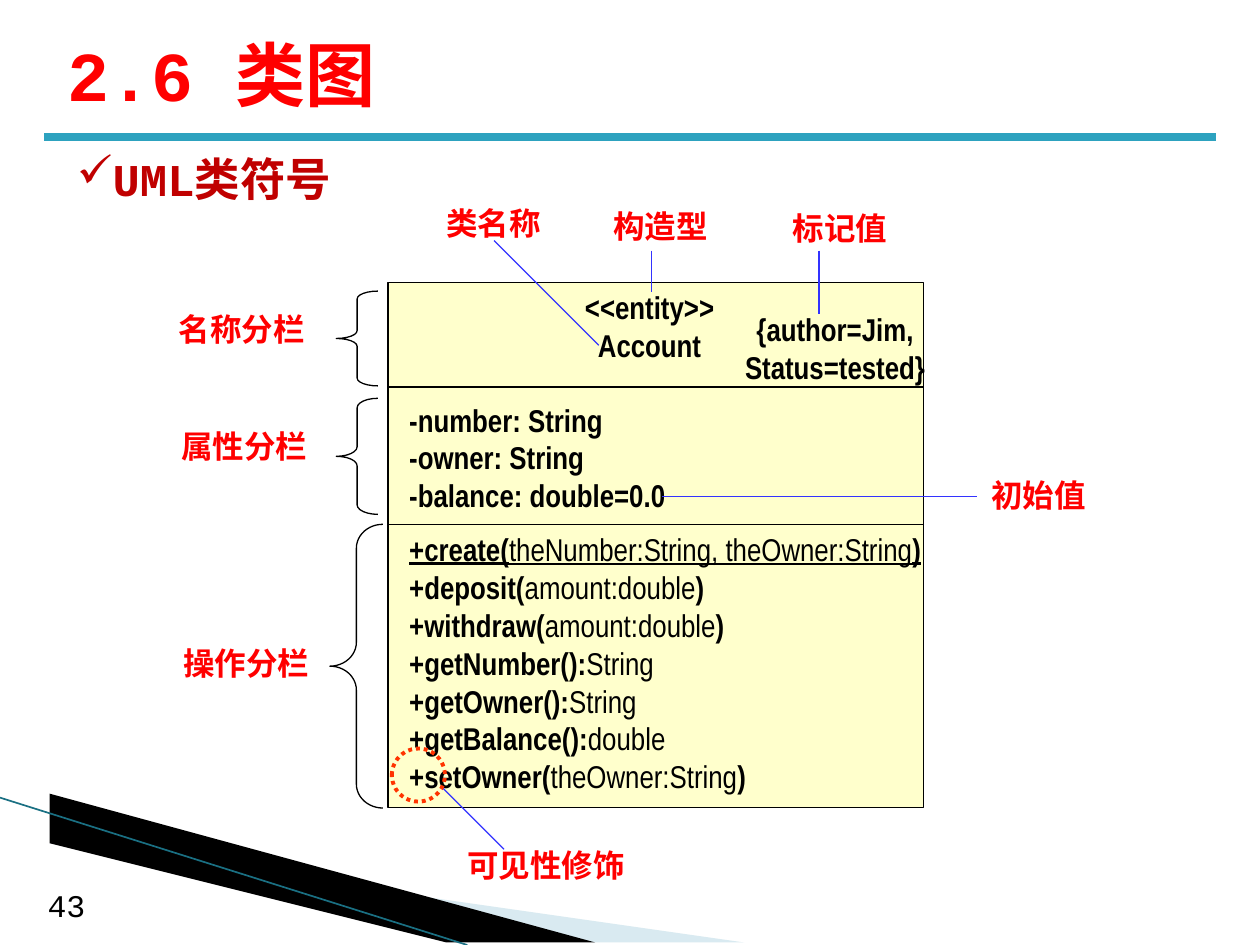
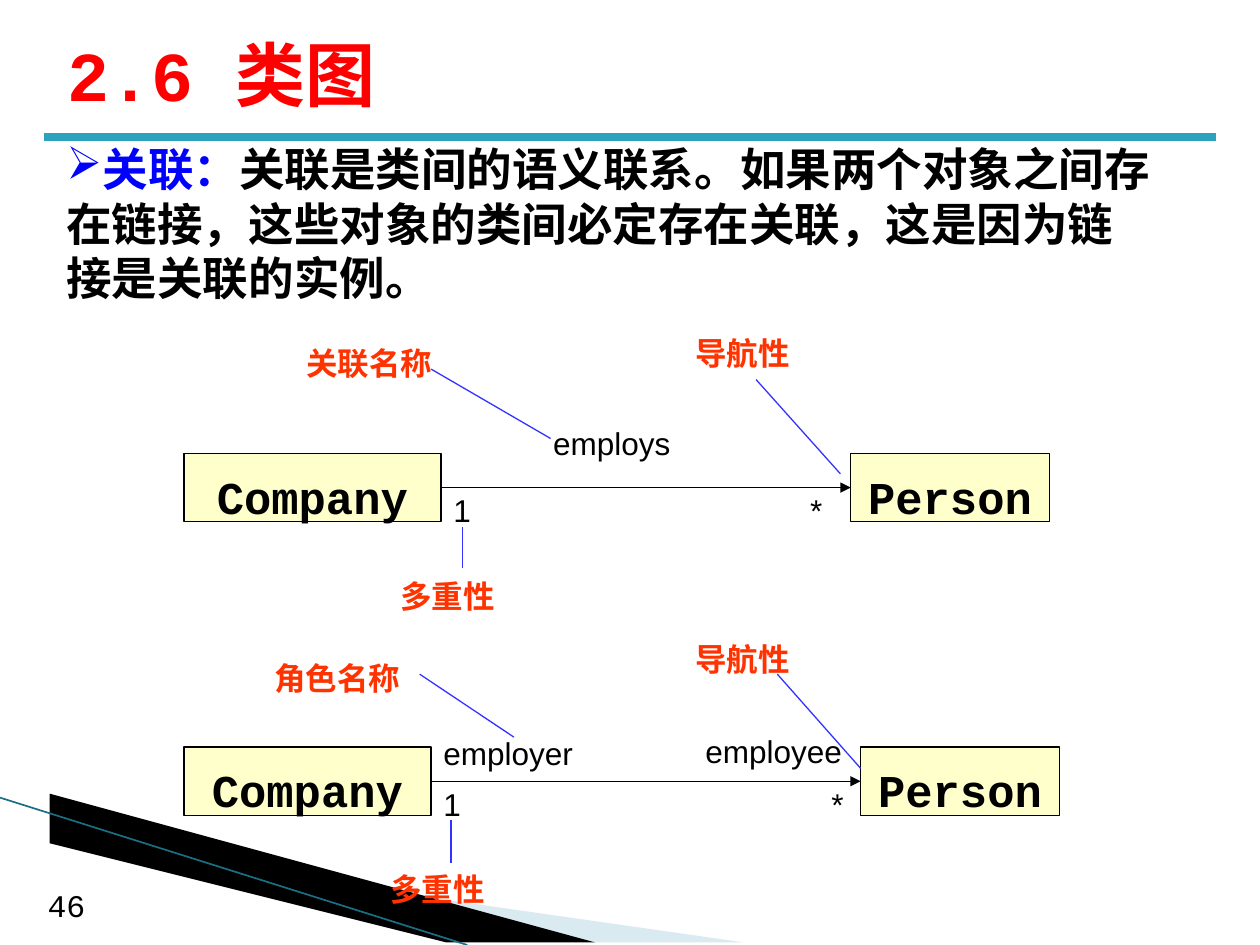
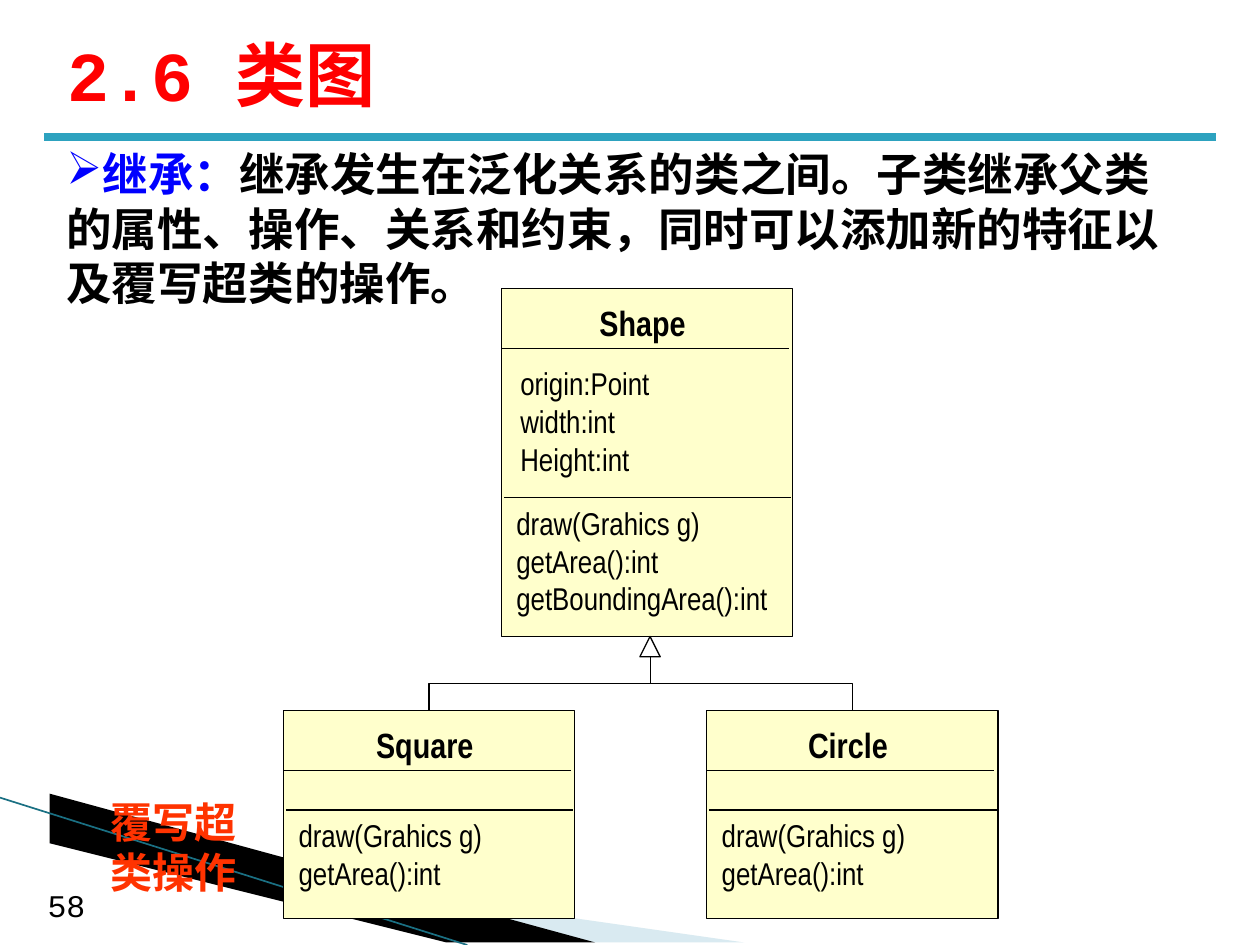
from dataclasses import dataclass

from lxml import etree
from pptx import Presentation
from pptx.dml.color import RGBColor
from pptx.enum.dml import MSO_LINE
from pptx.enum.lang import MSO_LANGUAGE_ID
from pptx.enum.shapes import MSO_CONNECTOR, MSO_SHAPE
from pptx.enum.text import MSO_ANCHOR, PP_ALIGN
from pptx.oxml.ns import qn
from pptx.util import Cm, Pt

RECTANGLE, ELLIPSE = MSO_SHAPE.RECTANGLE, MSO_SHAPE.OVAL
BRACE, TRIANGLE = MSO_SHAPE.LEFT_BRACE, MSO_SHAPE.ISOSCELES_TRIANGLE
STRAIGHT, ELBOW = MSO_CONNECTOR.STRAIGHT, MSO_CONNECTOR.ELBOW
LEFT, CENTER = PP_ALIGN.LEFT, PP_ALIGN.CENTER
TOP, MIDDLE = MSO_ANCHOR.TOP, MSO_ANCHOR.MIDDLE
DOTTED = MSO_LINE.ROUND_DOT
CHINESE = MSO_LANGUAGE_ID.SIMPLIFIED_CHINESE


@dataclass(frozen=True)
class Theme:
    black: str = "000000"
    white: str = "FFFFFF"
    red: str = "FF0000"
    dark_red: str = "C00000"
    orange: str = "FF3300"
    blue: str = "0000FF"
    callout: str = "3333FF"
    class_fill: str = "FFFFCC"
    band: str = "2DA2BF"
    wedge: str = "A0CBDC"
    wedge_edge: str = "1A7083"
    sans: str = "Arial"
    narrow: str = "Arial Narrow"
    mono: str = "Courier New"
    title_size: float = 40
    lead_size: float = 26
    note_size: float = 24
    name_size: float = 20
    body_size: float = 18
    thin: float = 0.75
    thick: float = 4.5


theme = Theme()


def add_box(page, place, paragraphs=(), shape=None, fill=None, line=theme.black,
            weight=theme.thin, size=theme.body_size, font=theme.sans,
            color=theme.black, bold=False, align=LEFT, anchor=TOP, bullet=None):
    """Add a text box, or the given preset shape, at (left, top, width, height) in cm.

    A paragraph is a string or a list of (text, format changes) pairs.
    """
    lengths = [Cm(length) for length in place]
    if shape is None:
        box = page.shapes.add_textbox(*lengths)
    else:
        box = page.shapes.add_shape(shape, *lengths)
        box.shadow.inherit = False
        box.line.color.rgb = RGBColor.from_string(line)
        box.line.width = Pt(weight)
        if fill:
            box.fill.solid()
            box.fill.fore_color.rgb = RGBColor.from_string(fill)
        else:
            box.fill.background()
    frame = box.text_frame
    frame.word_wrap = True
    frame.vertical_anchor = anchor
    for index, content in enumerate(paragraphs):
        para = frame.add_paragraph() if index else frame.paragraphs[0]
        para.alignment = align
        if bullet:
            properties = para._p.get_or_add_pPr()
            etree.SubElement(properties, qn("a:buChar")).set("char", bullet)
        spans = [(content, {})] if isinstance(content, str) else content
        for text, changes in spans:
            span = para.add_run()
            span.text = text
            span.font.size = Pt(size)
            span.font.name = font
            span.font.bold = changes.get("bold", bold)
            span.font.underline = changes.get("underline", False)
            span.font.color.rgb = RGBColor.from_string(changes.get("color", color))
            span.font.language_id = CHINESE
    return box


def add_line(page, start, end, color=theme.black, weight=theme.thin,
             kind=STRAIGHT, arrow=False):
    line = page.shapes.add_connector(kind, *[Cm(length) for length in (*start, *end)])
    line.line.color.rgb = RGBColor.from_string(color)
    line.line.width = Pt(weight)
    properties = line.element.spPr
    if arrow:
        etree.SubElement(properties.find(qn("a:ln")), qn("a:tailEnd")).set("type", "triangle")
    etree.SubElement(properties, qn("a:effectLst"))
    return line


deck = Presentation()
deck.slide_width, deck.slide_height = Cm(25.4), Cm(19.05)

# Wedges, title band, page number and title on every page
wedges = [
    (theme.wedge, 40, [(1.4, 16.54), (15.11, 19.05), (11.58, 19.05), (1.4, 16.51)]),
    (theme.black, 100, [(1.35, 16.48), (11.61, 19.05), (9.45, 19.05), (1.37, 16.51)]),
]
pages = []
for number in (43, 46, 58):
    page = deck.slides.add_slide(deck.slide_layouts[6])
    for color, opacity, corners in wedges:
        builder = page.shapes.build_freeform(*corners[0], scale=Cm(1))
        builder.add_line_segments(corners[1:], close=True)
        wedge = builder.convert_to_shape()
        wedge.shadow.inherit = False
        wedge.line.fill.background()
        wedge.fill.solid()
        wedge.fill.fore_color.rgb = RGBColor.from_string(color)
        if opacity < 100:
            tint = wedge.element.spPr.find(qn("a:solidFill"))[0]
            etree.SubElement(tint, qn("a:alpha")).set("val", str(opacity * 1000))
    add_line(page, (0, 16.08), (9.42, 19.05), theme.wedge_edge, 0.95)
    add_line(page, (0.89, 2.77), (24.51, 2.77), theme.band, theme.thick)
    add_box(page, (0.71, 17.73, 2.01, 1.02), [str(number)], font=theme.mono)
    add_box(page, (1.12, 0.41, 22.86, 2.16), ["2.6 类图"], size=theme.title_size,
            font=theme.mono, color=theme.red, bold=True, anchor=MIDDLE)
    pages.append(page)
symbol_page, association_page, inheritance_page = pages

# Class symbol
operations = [
    ("+create(", "theNumber:String, theOwner:String", ")"),
    ("+deposit(", "amount:double", ")"),
    ("+withdraw(", "amount:double", ")"),
    ("+getNumber():", "String"),
    ("+getOwner():", "String"),
    ("+getBalance():", "double"),
    ("+setOwner(", "theOwner:String", ")"),
]
operation_lines = [
    [(part, {"bold": position != 1, "underline": parts[0] == "+create("})
     for position, part in enumerate(parts)]
    for parts in operations
]
add_box(symbol_page, (7.82, 5.69, 10.8, 10.59), shape=RECTANGLE, fill=theme.class_fill)
for place, lines, align in [
    ((9.88, 5.69, 6.43, 1.78), ["<<entity>>", "Account"], CENTER),
    ((8, 7.95, 8.18, 2.54),
     ["-number: String", "-owner: String", "-balance: double=0.0"], LEFT),
    ((8, 10.57, 11.25, 5.59), operation_lines, LEFT),
    ((14.61, 6.12, 4.45, 1.78), ["{author=Jim, Status=tested}"], CENTER),
]:
    add_box(symbol_page, place, lines, font=theme.narrow, bold=True, align=align)
for divider in (7.8, 10.57):
    add_line(symbol_page, (7.82, divider), (18.62, divider))

for place, curve in [
    ((6.78, 5.87, 0.84, 1.91), 0.188),
    ((6.78, 8.03, 0.84, 2.34), 0.229),
    ((6.65, 10.57, 1.07, 5.72), 0.45),
]:
    brace = add_box(symbol_page, place, shape=BRACE)
    brace.adjustments[0] = curve

label_width = 4.24
for label, center, top in [
    ("名称分栏", 4.87, 6.12), ("属性分栏", 4.92, 8.48), ("操作分栏", 4.97, 12.85),
    ("可见性修饰", 11.01, 16.94), ("构造型", 13.32, 4.04), ("类名称", 9.95, 3.99),
    ("标记值", 16.93, 4.09), ("初始值", 20.94, 9.47),
]:
    add_box(symbol_page, (center - label_width / 2, top, label_width, 1.02), [label],
            color=theme.red, bold=True, align=CENTER)
for start, end in [
    ((13.13, 5.05), (13.13, 5.89)), ((16.51, 5.05), (16.51, 6.32)),
    ((9.96, 4.85), (12.07, 6.96)), ((19.69, 10.01), (13.34, 10.01)),
    ((10.16, 17.12), (8.89, 15.85)),
]:
    add_line(symbol_page, start, end, theme.callout)
visibility_ring = add_box(symbol_page, (7.9, 15.09, 1.07, 1.07), shape=ELLIPSE,
                          line=theme.orange, weight=2.25)
visibility_ring.line.dash_style = DOTTED
add_box(symbol_page, (1.3, 2.92, 22.43, 1.37), ["UML类符号"], size=theme.lead_size,
        font=theme.mono, color=theme.dark_red, bold=True, bullet="✓")

# Associations
for top, company_width, person_left in [(9.14, 5.18, 17.15), (15.06, 4.98, 17.35)]:
    ends = []
    for name, left, width in [("Company", 3.71, company_width), ("Person", person_left, 4.01)]:
        box = add_box(association_page, (left, top, width, 1.38), [name], shape=RECTANGLE,
                      fill=theme.class_fill, size=theme.lead_size, font=theme.mono,
                      bold=True, align=CENTER, anchor=MIDDLE)
        box.text_frame.margin_top, box.text_frame.margin_bottom = Cm(0.34), Cm(0)
        ends.append(box)
    middle = top + 0.69
    association = add_line(association_page, (3.71 + company_width, middle),
                           (person_left, middle), arrow=True)
    association.begin_connect(ends[0], 3)
    association.end_connect(ends[1], 1)

association_texts = [
    ("employs", 10.9, 8.43), ("1", 8.89, 9.78), ("*", 16.08, 9.78),
    ("employer", 8.69, 14.68), ("employee", 13.97, 14.63),
    ("1", 8.69, 15.7), ("*", 16.51, 15.7),
]
association_labels = [
    ("关联名称", 5.92, 6.81), ("导航性", 13.77, 6.6), ("多重性", 7.82, 11.51),
    ("角色名称", 5.28, 13.16), ("导航性", 13.77, 12.78), ("多重性", 7.62, 17.42),
]
for texts, color, bold in [(association_texts, theme.black, False),
                           (association_labels, theme.orange, True)]:
    for text, left, top in texts:
        add_box(association_page, (left, top, 3.6, 1.02), [text], color=color, bold=bold)
for start, end in [
    ((8.69, 7.44), (11.1, 8.84)), ((15.24, 7.65), (16.94, 9.55)),
    ((9.32, 11.46), (9.32, 10.62)), ((8.46, 13.59), (10.36, 14.86)),
    ((9.09, 17.4), (9.09, 16.54)), ((15.67, 13.59), (17.35, 15.49)),
]:
    add_line(association_page, start, end, theme.callout)

# Inheritance
class_width = 5.87
attributes = ["origin:Point", "width:int", "Height:int"]
overrides = ["draw(Grahics g)", "getArea():int"]
for name, left, top, height, divider, fields, methods in [
    ("Shape", 10.11, 5.82, 7.01, 10.03, attributes, overrides + ["getBoundingArea():int"]),
    ("Square", 5.72, 14.33, 4.19, 16.33, [], overrides),
    ("Circle", 14.25, 14.33, 4.19, 16.33, [], overrides),
]:
    add_box(inheritance_page, (left, top, class_width, height), shape=RECTANGLE,
            fill=theme.class_fill)
    add_box(inheritance_page, (left + 1.04, top + 0.13, 3.61, 1.12), [name],
            size=theme.name_size, font=theme.narrow, bold=True, align=CENTER)
    if fields:
        add_box(inheritance_page, (left + 0.13, top + 1.4, 4.09, 2.54), fields,
                font=theme.narrow)
    add_box(inheritance_page, (left + 0.05, divider, 5.79, 0.25 + 0.76 * len(methods)),
            methods, font=theme.narrow)
    add_line(inheritance_page, (left, top + 1.2), (left + 5.79, top + 1.2))
    add_line(inheritance_page, (left + 0.05, divider), (left + 5.84, divider))

add_box(inheritance_page, (12.9, 12.83, 0.41, 0.41), shape=TRIANGLE, fill=theme.white)
parent_x, parent_y, child_y = 13.11, 13.24, 14.33
drop, center_y = child_y - parent_y, (parent_y + child_y) / 2
# Each elbow is laid out sideways, then turned so that it leaves the parent downwards
for child_x, side, degrees in [(8.65, -1, 90), (17.18, 1, 270)]:
    center_x, span_width = (parent_x + child_x) / 2, abs(child_x - parent_x)
    elbow = add_line(inheritance_page,
                     (center_x + side * drop / 2, center_y - span_width / 2),
                     (center_x - side * drop / 2, center_y + span_width / 2), kind=ELBOW)
    elbow.element.spPr.find(qn("a:xfrm")).set("rot", str(degrees * 60000))
add_box(inheritance_page, (1.7, 15.93, 3.61, 2.31), ["覆写超类操作"],
        size=theme.note_size, color=theme.orange, bold=True, align=CENTER)

# Definitions above the two diagrams
for page, top, width, font, term, definition in [
    (association_page, 2.72, 22.43, theme.sans, "关联：",
     "关联是类间的语义联系。如果两个对象之间存在链接，这些对象的类间必定存在关联，"
     "这是因为链接是关联的实例。"),
    (inheritance_page, 2.82, 23.01, theme.mono, "继承：",
     "继承发生在泛化关系的类之间。子类继承父类的属性、操作、关系和约束，"
     "同时可以添加新的特征以及覆写超类的操作。"),
]:
    add_box(page, (1.09, top, width, 3.58),
            [[(term, {"color": theme.blue}), (definition, {})]],
            size=theme.lead_size, font=font, bold=True, bullet="➢")

deck.save("out.pptx")
